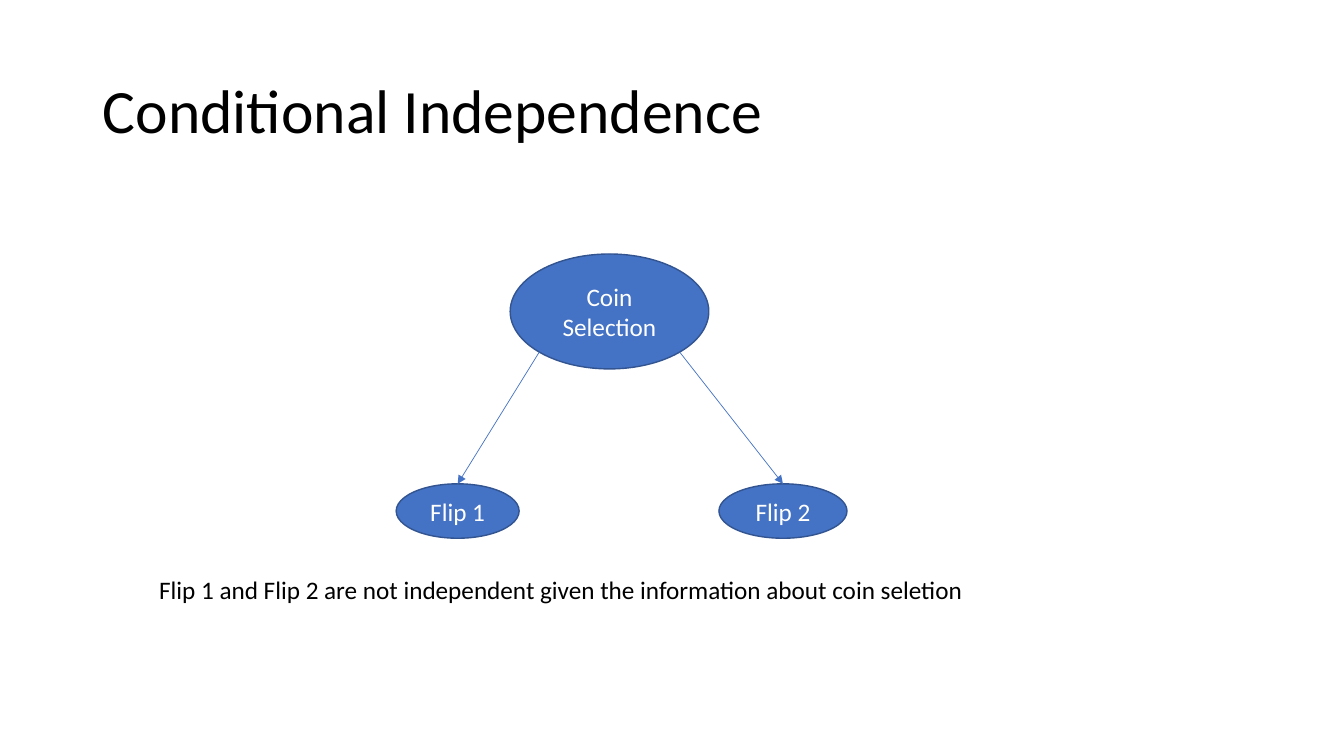
import math
from dataclasses import dataclass

from pptx import Presentation
from pptx import util as u
from pptx.dml.color import RGBColor
from pptx.enum import shapes, text
from pptx.oxml.ns import qn
from lxml import etree


@dataclass(frozen=True)
class Theme:
    font: str = "Calibri"
    ink: str = "000000"
    node_text: str = "FFFFFF"
    node_fill: str = "4472C4"
    node_edge: str = "325491"
    title_size: int = 44
    text_size: int = 18
    edge_width: float = 1
    arrow_width: float = 0.5


THEME = Theme()
WIDTH, HEIGHT = u.Inches(13.33), u.Inches(7.5)
FLIP_TOP, FLIP_HEIGHT = 64, 7.2


def area(left, top, width, height):
    shares = zip((left, top, width, height), (WIDTH, HEIGHT) * 2)
    return [round(percent / 100 * side) for percent, side in shares]


def apply(target, values):
    for name, value in values.items():
        setattr(target, name, value)


def write(holder, lines, size, color, frame_format, paragraph_format):
    frame = holder.text_frame
    frame.text = "\n".join(lines)
    apply(frame, frame_format)
    for paragraph in frame.paragraphs:
        apply(paragraph, paragraph_format)
        for run in paragraph.runs:
            apply(run.font, {"name": THEME.font, "size": u.Pt(size)})
            run.font.color.rgb = RGBColor.from_string(color)


def draw_line(line, color, width):
    line.color.rgb = RGBColor.from_string(color)
    line.width = u.Pt(width)


def add_title(slide, wording, place):
    title = slide.shapes.title
    apply(title, dict(zip(("left", "top", "width", "height"), place)))
    write(title, [wording], THEME.title_size, THEME.ink,
          {"vertical_anchor": text.MSO_ANCHOR.MIDDLE,
           "auto_size": text.MSO_AUTO_SIZE.NONE, "word_wrap": True},
          {"alignment": text.PP_ALIGN.LEFT, "line_spacing": 0.9})


def add_event(slide, lines, place):
    event = slide.shapes.add_shape(shapes.MSO_SHAPE.OVAL, *place)
    event.shadow.inherit = False
    event.fill.solid()
    event.fill.fore_color.rgb = RGBColor.from_string(THEME.node_fill)
    draw_line(event.line, THEME.node_edge, THEME.edge_width)
    write(event, lines, THEME.text_size, THEME.node_text,
          {"vertical_anchor": text.MSO_ANCHOR.MIDDLE, "word_wrap": True},
          {"alignment": text.PP_ALIGN.CENTER})
    return event


def add_dependency(slide, cause, effect, side):
    reach = math.sqrt(0.5) / 2
    start_x = round(cause.left + cause.width * (0.5 + side * reach))
    start_y = round(cause.top + cause.height * (0.5 + reach))
    arrow = slide.shapes.add_connector(
        shapes.MSO_CONNECTOR.STRAIGHT, start_x, start_y, effect.left, effect.top)
    arrow.end_connect(effect, 0)
    draw_line(arrow.line, THEME.node_fill, THEME.arrow_width)
    properties = arrow.line._get_or_add_ln()
    etree.SubElement(properties, qn("a:tailEnd"), type="triangle")
    etree.SubElement(properties.getparent(), qn("a:effectLst"))


def add_remark(slide, wording, place):
    remark = slide.shapes.add_textbox(*place)
    write(remark, [wording], THEME.text_size, THEME.ink,
          {"word_wrap": False, "auto_size": text.MSO_AUTO_SIZE.SHAPE_TO_FIT_TEXT},
          {"alignment": text.PP_ALIGN.LEFT})


def main():
    deck = Presentation()
    apply(deck, {"slide_width": WIDTH, "slide_height": HEIGHT})
    slide = deck.slides.add_slide(deck.slide_layouts.get_by_name("Title Only"))

    add_title(slide, "Conditional Independence", area(6.9, 5.33, 86.27, 19.33))
    coin = add_event(slide, ["Coin", "Selection"], area(37.96, 33.6, 14.78, 15.2))
    flips = [("Flip 1", 29.48, 9.15, -1), ("Flip 2", 53.49, 9.53, 1)]
    for label, left, width, side in flips:
        flip = add_event(slide, [label], area(left, FLIP_TOP, width, FLIP_HEIGHT))
        add_dependency(slide, coin, flip, side)
    add_remark(
        slide,
        "Flip 1 and Flip 2 are not independent given the information about coin seletion",
        area(11.1, 75.33, 62.12, 5.33))

    deck.save("out.pptx")


if __name__ == "__main__":
    main()
